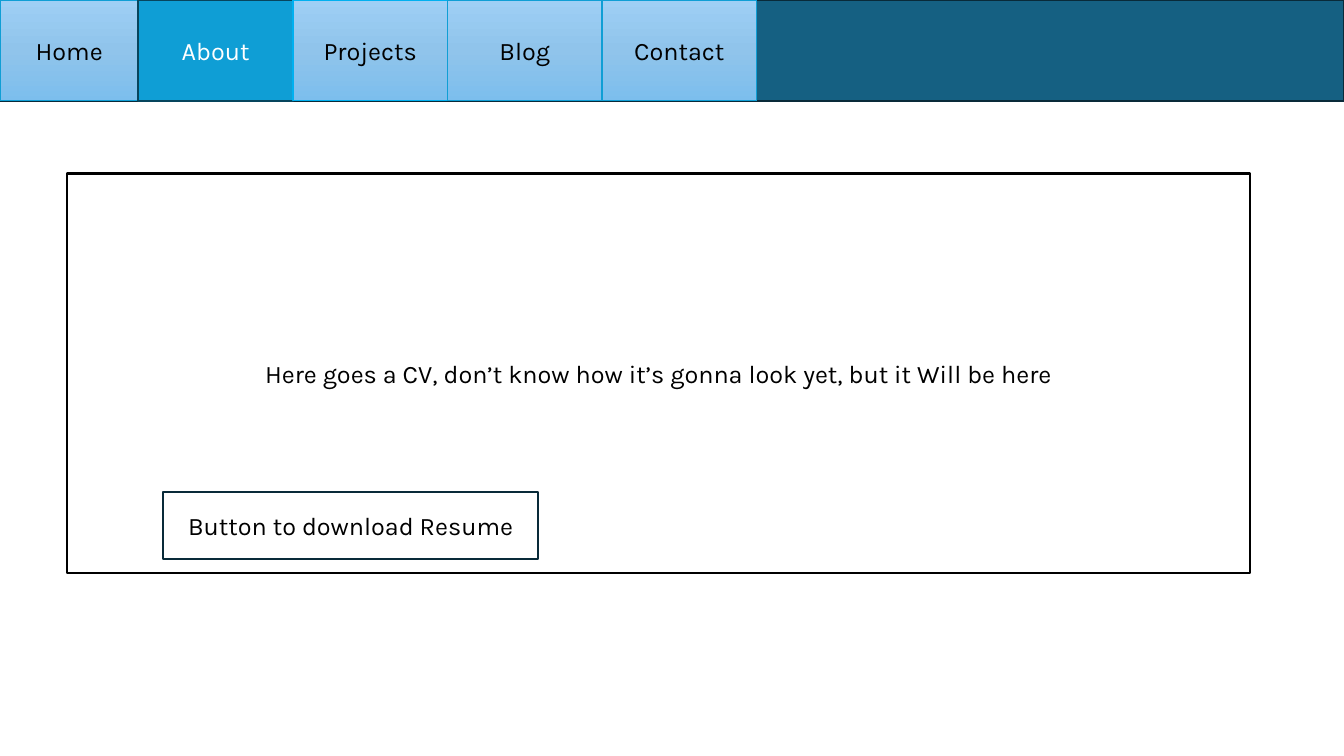
import copy
import pptx
import pptx.dml.color
import pptx.enum.shapes
import pptx.enum.text
import pptx.util

WIDE = pptx.util.Inches(13.33)
HIGH = pptx.util.Inches(7.5)
COL = WIDE / 100
ROW = HIGH / 100
BAR = 13.33
HOME = 10.3
TAB = 11.5
FONT = "Karla"
HUES = {
    "white": "FFFFFF",
    "black": "000000",
    "bar": "156082",
    "navy": "092A39",
    "blue": "0F9ED5",
    "deep": "07455D",
    "sky": "00B0F0",
    "top": "9ECFF5",
    "mid": "90C4EB",
    "low": "7CBEED",
}
FADE = ("top", "mid", "low")
TABS = (
    ("Home", FADE, "blue", 1, "black"),
    ("About", "blue", "deep", 1.5, "white"),
    ("Projects", FADE, "sky", 1, "black"),
    ("Blog", FADE, "blue", 1, "black"),
    ("Contact", FADE, "blue", 1, "black"),
)


def hue(name):
    return pptx.dml.color.RGBColor.from_string(HUES[name])


def shade(box, names):
    box.fill.gradient()
    box.fill.gradient_angle = 270
    first = box._element.xpath(".//a:gs")[0]
    first.addnext(copy.deepcopy(first))
    stops = box.fill.gradient_stops
    for i, (stop, name) in enumerate(zip(stops, names)):
        stop.position = i / (len(names) - 1)
        stop.color.rgb = hue(name)


def write(box, text, ink):
    frame = box.text_frame
    frame.word_wrap = True
    frame.vertical_anchor = pptx.enum.text.MSO_ANCHOR.MIDDLE
    line = frame.paragraphs[0]
    line.alignment = pptx.enum.text.PP_ALIGN.CENTER
    run = line.add_run()
    run.text = text
    run.font.name = FONT
    run.font.size = pptx.util.Pt(18)
    run.font.color.rgb = hue(ink)


def block(slide, place, fill, edge, width=1.5, text=None, ink="black"):
    left, top, wide, high = place
    box = slide.shapes.add_shape(
        pptx.enum.shapes.MSO_SHAPE.RECTANGLE,
        round(left * COL), round(top * ROW),
        round(wide * COL), round(high * ROW),
    )
    box.shadow.inherit = False
    if fill == FADE:
        shade(box, fill)
    else:
        box.fill.solid()
        box.fill.fore_color.rgb = hue(fill)
    box.line.color.rgb = hue(edge)
    box.line.width = pptx.util.Pt(width)
    if text:
        write(box, text, ink)


def menu(slide):
    block(slide, (0, 0, 100, BAR), "bar", "navy")
    left = 0
    for text, fill, edge, width, ink in TABS:
        wide = TAB if left else HOME
        block(slide, (left, 0, wide, BAR), fill, edge, width, text, ink)
        left += wide


def main():
    deck = pptx.Presentation()
    deck.slide_width = WIDE
    deck.slide_height = HIGH
    slide = deck.slides.add_slide(deck.slide_layouts[6])
    menu(slide)
    block(slide, (5, 22.95, 88, 52.8), "white", "black",
          text="Here goes a CV, don’t know how it’s gonna look yet, but it Will be here")
    block(slide, (12.15, 65.05, 27.9, 8.95), "white", "navy",
          text="Button to download Resume")
    deck.save("out.pptx")


if __name__ == "__main__":
    main()
